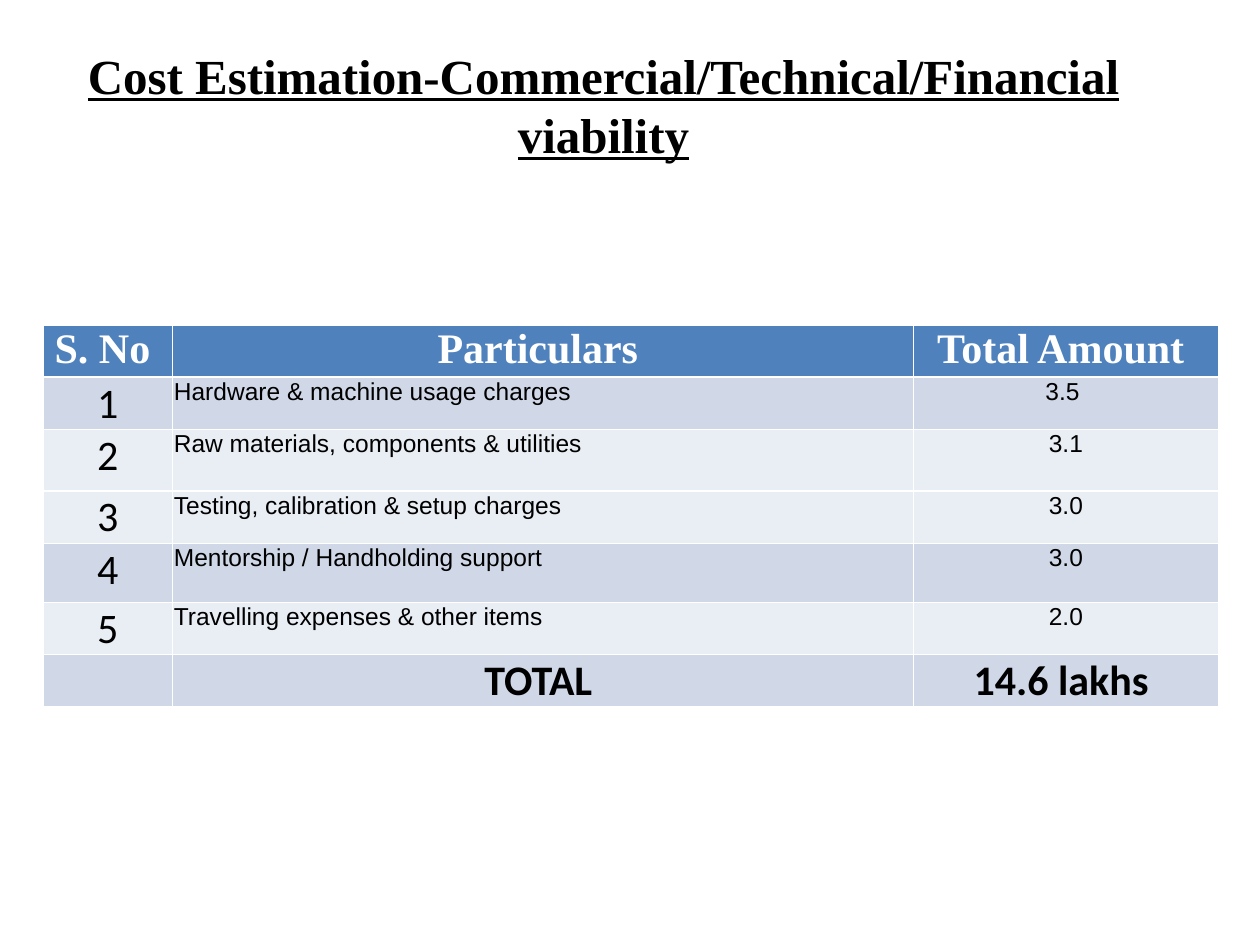
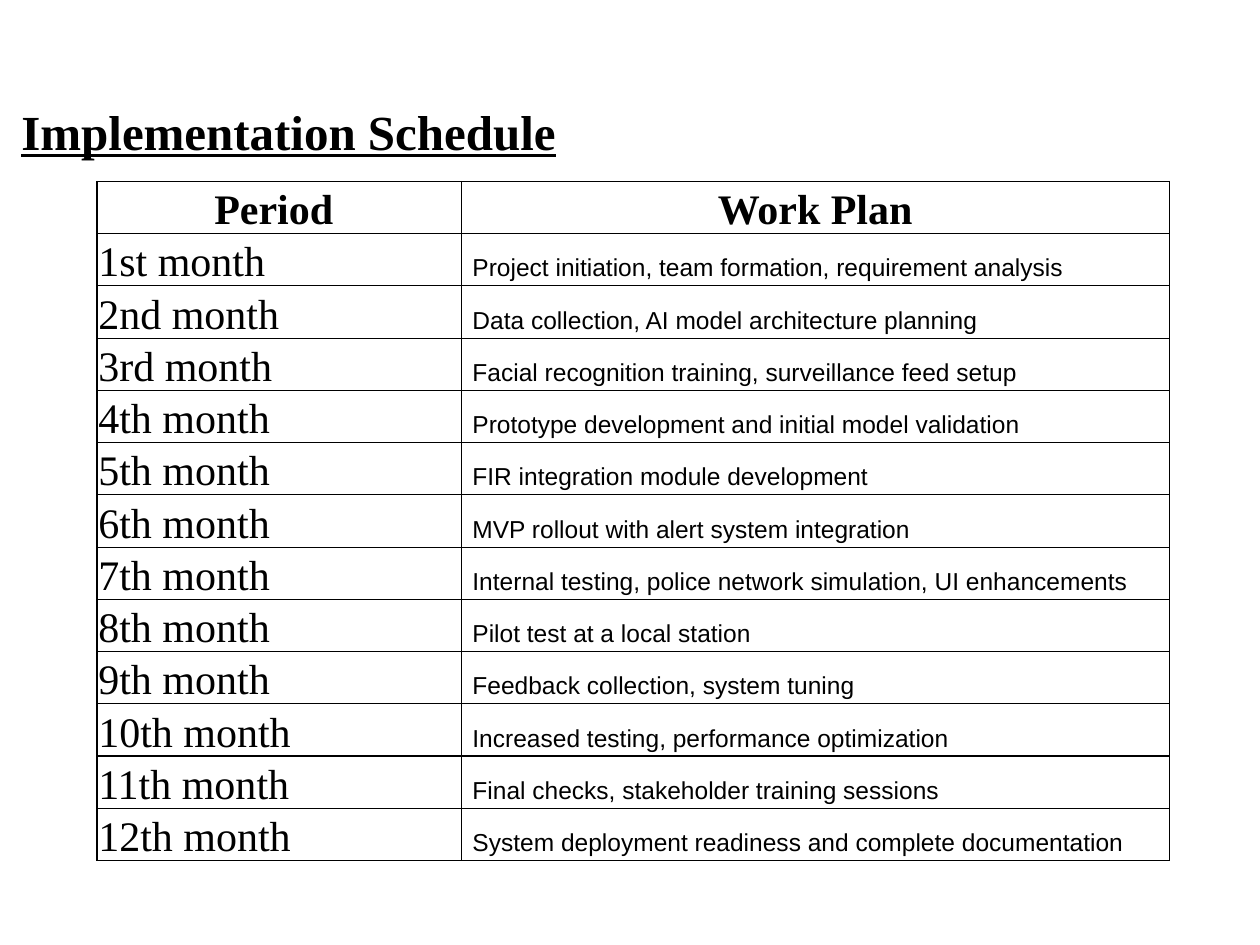
from lxml import etree
from pptx import Presentation
from pptx.dml.color import RGBColor
from pptx.enum.text import MSO_ANCHOR, MSO_AUTO_SIZE, PP_ALIGN
from pptx.oxml.ns import qn
from pptx.util import Inches, Pt

LEFT, CENTER = PP_ALIGN.LEFT, PP_ALIGN.CENTER
TOP, BOTTOM = MSO_ANCHOR.TOP, MSO_ANCHOR.BOTTOM
FIT_SHAPE = MSO_AUTO_SIZE.SHAPE_TO_FIT_TEXT

SLIDE_WIDTH, SLIDE_HEIGHT = Inches(10), Inches(7.5)
SERIF, SANS, BODY = "Times New Roman", "Arial", "Calibri"
BLACK, WHITE = "000000", "FFFFFF"
HEADER_BLUE, BAND_DARK, BAND_LIGHT = "4F81BD", "D0D8E8", "E9EDF4"
CELL_INSET = 0.01

COST_HEADER = ["S. No ", "Particulars ", "Total Amount "]
COSTS = [
    ("Hardware & machine usage charges", "3.5 "),
    ("Raw materials, components & utilities", "3.1"),
    ("Testing, calibration & setup charges", "3.0"),
    ("Mentorship / Handholding support", "3.0"),
    ("Travelling expenses & other items", "2.0"),
]
COST_TOTAL = ["", "TOTAL ", "14.6 lakhs "]
COST_BANDS = [BAND_DARK, BAND_LIGHT, BAND_LIGHT, BAND_DARK, BAND_LIGHT]

SCHEDULE_HEADER = ["Period ", "Work Plan"]
WORK_PLANS = [
    "Project initiation, team formation, requirement analysis",
    "Data collection, AI model architecture planning",
    "Facial recognition training, surveillance feed setup",
    "Prototype development and initial model validation",
    "FIR integration module development",
    "MVP rollout with alert system integration",
    "Internal testing, police network simulation, UI enhancements",
    "Pilot test at a local station",
    "Feedback collection, system tuning",
    "Increased testing, performance optimization",
    "Final checks, stakeholder training sessions",
    "System deployment readiness and complete documentation",
]


def color(hex_code):
    return RGBColor.from_string(hex_code)


def across(percent):
    return round(SLIDE_WIDTH * percent / 100)


def down(percent):
    return round(SLIDE_HEIGHT * percent / 100)


def write(paragraph, text, font, size, ink=BLACK, bold=False, underline=False, align=LEFT):
    paragraph.alignment = align
    run = paragraph.add_run()
    run.text = text
    run.font.name = font
    run.font.size = Pt(size)
    run.font.bold = bold
    run.font.underline = underline
    run.font.color.rgb = color(ink)


def add_title(slide, text, left, top, width, height, align=LEFT, spacing=None):
    title = slide.shapes.add_textbox(across(left), down(top), across(width), down(height))
    frame = title.text_frame
    frame.word_wrap = True
    frame.auto_size = FIT_SHAPE
    frame.margin_left = frame.margin_right = frame.margin_top = frame.margin_bottom = 0
    heading = frame.paragraphs[0]
    heading.line_spacing = spacing
    write(heading, text, SERIF, 28, bold=True, underline=True, align=align)


def add_grid(slide, left, top, columns, rows):
    grid = slide.shapes.add_table(
        len(rows), len(columns), across(left), down(top),
        across(sum(columns)), down(sum(rows)),
    ).table
    grid.first_row = grid.horz_banding = False
    for column, width in zip(grid.columns, columns):
        column.width = across(width)
    for row, height in zip(grid.rows, rows):
        row.height = down(height)
    return grid


def set_borders(cell, hex_code, widths):
    properties = cell._tc.get_or_add_tcPr()
    for side, width in zip("LRTB", widths):
        line = etree.SubElement(properties, qn(f"a:ln{side}"), w=str(Pt(width)))
        fill = etree.SubElement(line, qn("a:solidFill"))
        etree.SubElement(fill, qn("a:srgbClr"), val=hex_code)


def style_cell(cell, border, widths, fill=None, anchor=TOP, indent=CELL_INSET, lift=0):
    set_borders(cell, border, widths)
    if fill:
        cell.fill.solid()
        cell.fill.fore_color.rgb = color(fill)
    else:
        cell.fill.background()
    cell.vertical_anchor = anchor
    cell.margin_left = Inches(indent)
    cell.margin_right = cell.margin_top = Inches(CELL_INSET)
    cell.margin_bottom = Inches(lift)


def fill_cell(cell, text, font, size, **style):
    if text:
        write(cell.text_frame.paragraphs[0], text, font, size, **style)


def build_costs(slide):
    add_title(slide, "Cost Estimation-Commercial/Technical/Financial viability",
              3.3, 4.8, 89.2, 12.5, align=CENTER)
    grid = add_grid(slide, 3.4, 34.4, [10.3, 58.8, 24.2],
                    [5.5, 5.55, 6.5, 5.55, 6.25, 5.55, 5.5])
    fills = [HEADER_BLUE, *COST_BANDS, BAND_DARK]
    for row, fill in enumerate(fills):
        upper = 1.5 if row == 1 else 1
        lower = 1.5 if row == 0 else 1
        for column in range(len(COST_HEADER)):
            style_cell(grid.cell(row, column), WHITE, (1, 1, upper, lower), fill)
    for column, (header, total) in enumerate(zip(COST_HEADER, COST_TOTAL)):
        fill_cell(grid.cell(0, column), header, SERIF, 24, ink=WHITE, bold=True, align=CENTER)
        fill_cell(grid.cell(len(fills) - 1, column), total, BODY, 24, bold=True, align=CENTER)
    for number, (particular, amount) in enumerate(COSTS, start=1):
        fill_cell(grid.cell(number, 0), str(number), BODY, 24, align=CENTER)
        fill_cell(grid.cell(number, 1), particular, SANS, 14)
        fill_cell(grid.cell(number, 2), amount, SANS, 14, align=CENTER)


def month_name(number):
    suffix = {1: "st", 2: "nd", 3: "rd"}.get(number, "th")
    return f"{number}{suffix} month"


def build_schedule(slide):
    add_title(slide, "Implementation Schedule", 1.7, 0.13, 92.5, 12, spacing=2.7)
    grid = add_grid(slide, 7.7, 19.2, [28.9, 56.2], [5.53] * (len(WORK_PLANS) + 1))
    borders = (0.75,) * 4
    for column, header in enumerate(SCHEDULE_HEADER):
        style_cell(grid.cell(0, column), BLACK, borders, anchor=BOTTOM)
        fill_cell(grid.cell(0, column), header, SERIF, 24, bold=True, align=CENTER)
    for number, plan in enumerate(WORK_PLANS, start=1):
        period, work = grid.cell(number, 0), grid.cell(number, 1)
        style_cell(period, BLACK, borders, anchor=BOTTOM)
        style_cell(work, BLACK, borders, anchor=BOTTOM, indent=0.09, lift=0.03)
        fill_cell(period, month_name(number), SERIF, 24)
        fill_cell(work, plan, SANS, 14)


def main():
    deck = Presentation()
    deck.slide_width, deck.slide_height = SLIDE_WIDTH, SLIDE_HEIGHT
    blank = deck.slide_layouts[6]
    for build in (build_costs, build_schedule):
        build(deck.slides.add_slide(blank))
    deck.save("out.pptx")


if __name__ == "__main__":
    main()
